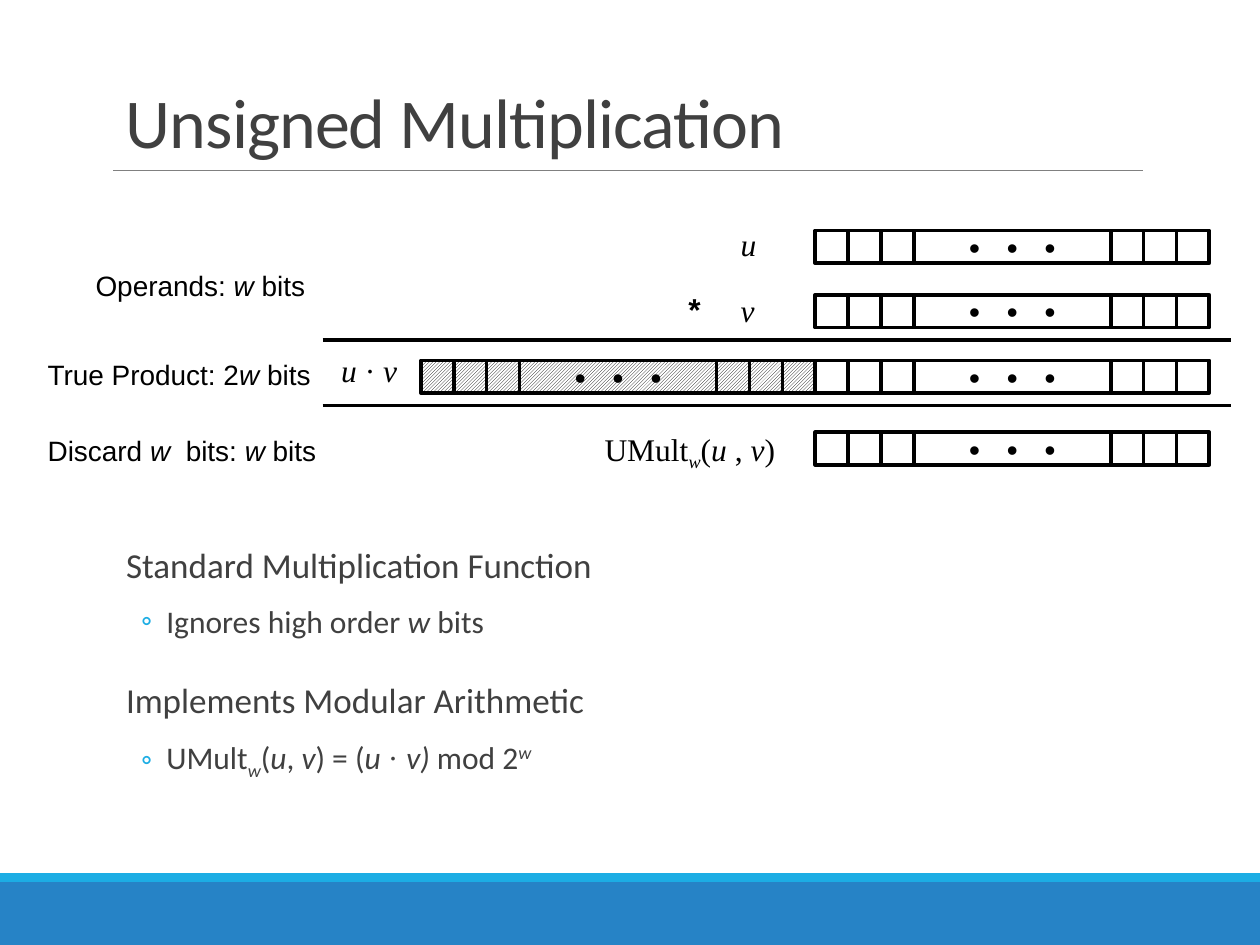
from lxml.etree import SubElement
from pptx import Presentation
from pptx.dml.color import RGBColor
from pptx.enum.dml import MSO_PATTERN
from pptx.enum.shapes import MSO_CONNECTOR, MSO_SHAPE
from pptx.enum.text import MSO_ANCHOR, MSO_AUTO_SIZE, PP_ALIGN
from pptx.oxml.ns import qn
from pptx.util import Inches, Pt

WIDE, HIGH = Inches(10), Inches(7.5)
COL, ROW = WIDE / 100, HIGH / 75
BLACK, GRAY, BLUE, SKY = "000000", "404040", "2683C6", "1CADE4"
SERIF, SANS, MONO, BODY = "Times New Roman", "Arial", "Courier New", "Calibri"
SPANS = [1, 1, 1, 6, 1, 1, 1]


def color(code):
    return RGBColor.from_string(code)


def place(box):
    x, y, w, h = box
    return round(x * COL), round(y * ROW), round(w * COL), round(h * ROW)


def add_runs(para, runs, size, font, tint):
    for text, *marks in runs:
        run = para.add_run()
        run.text = text
        face = run.font
        face.size = Pt(size)
        face.name = SERIF if "serif" in marks else font
        face.color.rgb = color(tint)
        face.italic = "i" in marks
        face.bold = "b" in marks
        for mark, base in (("sub", -25000), ("sup", 30000)):
            if mark in marks:
                run._r.get_or_add_rPr().set("baseline", str(base))


def add_text(slide, box, wrap=True):
    frame = slide.shapes.add_textbox(*place(box)).text_frame
    frame.word_wrap = wrap
    return frame


def add_label(slide, box, runs, size, font, align=PP_ALIGN.LEFT, wrap=False):
    frame = add_text(slide, box, wrap)
    frame.auto_size = MSO_AUTO_SIZE.SHAPE_TO_FIT_TEXT
    para = frame.paragraphs[0]
    para.alignment = align
    add_runs(para, runs, size, font, BLACK)


def add_rect(slide, box):
    rect = slide.shapes.add_shape(MSO_SHAPE.RECTANGLE, *place(box))
    rect.shadow.inherit = False
    return rect


def add_line(slide, x, y, w, tint, thick):
    left, top, span, _ = place((x, y, w, 0))
    line = slide.shapes.add_connector(
        MSO_CONNECTOR.STRAIGHT, left, top, left + span, top)
    line.line.color.rgb = color(tint)
    line.line.width = Pt(thick)
    SubElement(line._element.spPr, qn("a:effectLst"))


def add_foot(slide, box):
    x, y, w, h = box
    edge = 0.7
    for part, tint in (((x, y + edge, w, h - edge), BLUE),
                       ((x, y, w, edge), SKY)):
        band = add_rect(slide, part)
        band.fill.solid()
        band.fill.fore_color.rgb = color(tint)
        band.line.fill.background()


def add_title(slide, box):
    x, y, w, h = box
    add_line(slide, x, y + h + 0.1, 81.7, "808080", 0.5)
    frame = add_text(slide, box)
    frame.vertical_anchor = MSO_ANCHOR.BOTTOM
    para = frame.paragraphs[0]
    para.line_spacing = 0.85
    add_runs(para, [("Unsigned Multiplication",)], 40, BODY, GRAY)
    para.runs[0].font._element.set("spc", "-50")


def add_bits(slide, box, hatch=False):
    x, y, w, h = box
    unit = w / sum(SPANS)
    for span in SPANS:
        cell = add_rect(slide, (x, y, span * unit, h))
        if hatch:
            cell.fill.patterned()
            cell.fill.pattern = MSO_PATTERN.LIGHT_UPWARD_DIAGONAL
            cell.fill.fore_color.rgb = color(BLACK)
            cell.fill.back_color.rgb = color("FFFFFF")
        else:
            cell.fill.background()
        cell.line.color.rgb = color(BLACK)
        cell.line.width = Pt(2)
        if span > 1:
            frame = cell.text_frame
            frame.word_wrap = False
            frame.vertical_anchor = MSO_ANCHOR.MIDDLE
            para = frame.paragraphs[0]
            para.alignment = PP_ALIGN.CENTER
            add_runs(para, [("• • •",)], 18, MONO, BLACK)
        x += span * unit


def add_product(slide, box):
    x, y, w, h = box
    bits, tall = 31.28, 2.6
    right = x + 61.9
    for top in (0.9, 6, 11.2, 16.9):
        add_bits(slide, (right, y + top, bits, tall))
    add_bits(slide, (right - bits, y + 11.2, bits, tall), True)
    for top in (9.6, 14.8):
        add_line(slide, x + 22.8, y + top, w - 22.8, BLACK, 2)

    u, v, wide = ("u", "i"), ("v", "i"), ("w", "i")
    names = [
        ((55, 0, 3.4), [u], SERIF, PP_ALIGN.LEFT),
        ((55, 5.2, 3.3), [v], SERIF, PP_ALIGN.LEFT),
        ((50.6, 5.2, 3.7), [("*", "b")], MONO, PP_ALIGN.LEFT),
        ((22.8, 10, 6.9), [("u ", "i"), ("· ",), v], SERIF, PP_ALIGN.RIGHT),
        ((43, 16.2, 16.7), [("UMult",), ("w", "i", "sub"), ("(",), u,
                            (" , ",), v, (")",)], SERIF, PP_ALIGN.RIGHT),
    ]
    for (left, top, span), runs, font, align in names:
        add_label(slide, (x + left, y + top, span, 4.2), runs, 18, font, align)

    notes = [
        ((3.8, 3.4, 18.9), [("Operands: ",), wide, (" bits",)], False),
        ((0, 10.5, 23.1), [("True Product: 2",), wide, (" bits",)], False),
        ((0, 16.5, 27.8), [("Discard ",), ("w ", "i"), (" bits: ",), wide,
                           (" bits",)], True),
    ]
    for (left, top, span), runs, wrap in notes:
        add_label(slide, (x + left, y + top, span, 3.7), runs, 16, SANS,
                  wrap=wrap)


def add_point(para, runs, level):
    size, left, hang, before, after, mark = [
        (20, 0.1, 0.1, 12, 2, " "), (18, 0.42, 0.2, 2, 4, "◦")][level]
    para.level = level
    para.line_spacing = 1.25
    para.space_before, para.space_after = Pt(before), Pt(after)
    props = para._p.get_or_add_pPr()
    props.set("marL", str(Inches(left)))
    props.set("indent", str(-Inches(hang)))
    tint = SubElement(props, qn("a:buClr"))
    SubElement(tint, qn("a:srgbClr")).set("val", SKY)
    SubElement(props, qn("a:buFont")).set("typeface", BODY)
    SubElement(props, qn("a:buChar")).set("char", mark)
    add_runs(para, runs, size, BODY, GRAY)


def add_body(slide, box):
    frame = add_text(slide, box)
    frame.margin_left = frame.margin_right = 0
    points = [
        (0, [("Standard Multiplication Function",)]),
        (1, [("Ignores high order ",), ("w", "i"), (" bits",)]),
        (0, [("Implements Modular Arithmetic",)]),
        (1, [("UMult",), ("w", "i", "sub"), ("(",), ("u", "i"), (", ",),
             ("v", "i"), (") = (",), ("u ", "i"), ("· ", "serif"),
             ("v) ", "i"), ("mod 2",), ("w", "i", "sup")]),
    ]
    for spot, (level, runs) in enumerate(points):
        para = frame.add_paragraph() if spot else frame.paragraphs[0]
        add_point(para, runs, level)


def main():
    deck = Presentation()
    deck.slide_width, deck.slide_height = WIDE, HIGH
    slide = deck.slides.add_slide(deck.slide_layouts[6])
    add_foot(slide, (0, 69.3, 100, 5.7))
    add_title(slide, (9, 0.1, 82.5, 13.3))
    add_body(slide, (9, 41.8, 82.5, 25.5))
    add_product(slide, (2.8, 17.4, 94.9, 20.4))
    deck.save("out.pptx")


if __name__ == "__main__":
    main()
